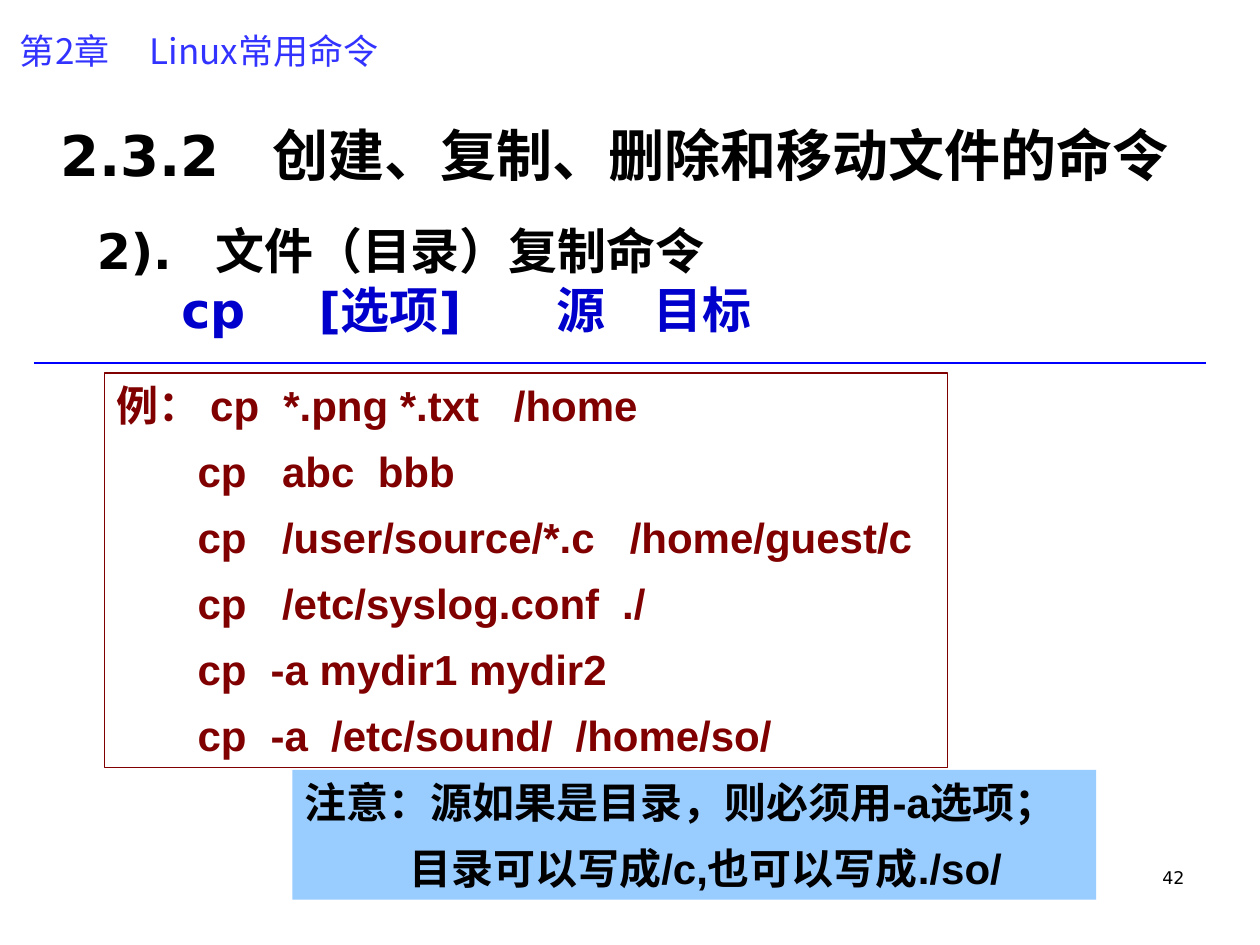
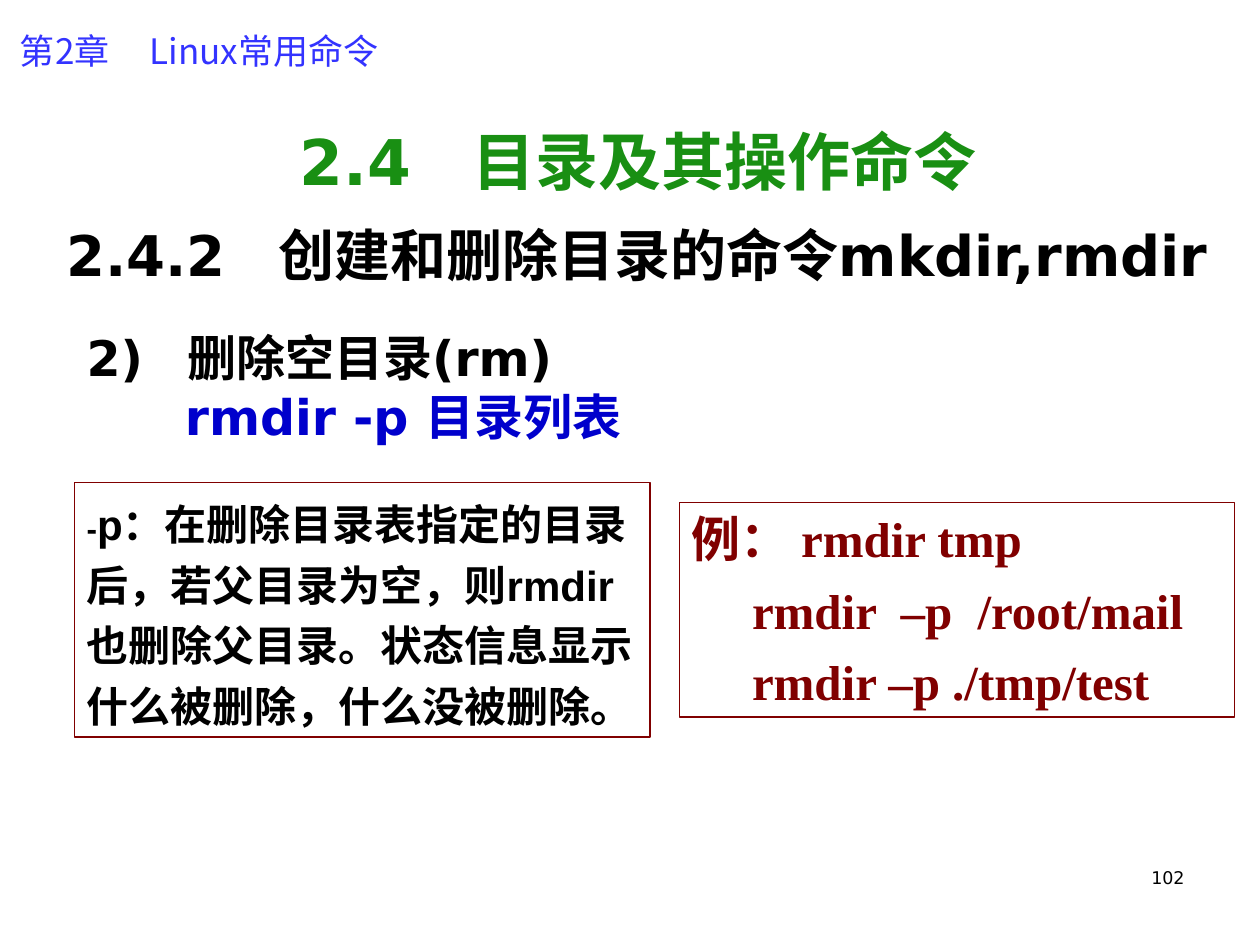
from lxml.etree import SubElement
from pptx import Presentation
from pptx.dml.color import RGBColor
from pptx.enum.shapes import MSO_CONNECTOR, MSO_SHAPE
from pptx.enum.text import MSO_ANCHOR, MSO_AUTO_SIZE, PP_ALIGN
from pptx.oxml.ns import qn
from pptx.util import Inches, Pt

BLACK = "000000"
HEADER_BLUE = "3333FF"
COMMAND_BLUE = "0000CC"
RULE_BLUE = "0000FF"
MAROON = "800000"
SECTION_GREEN = "198F13"
NOTE_BLUE = "99CCFF"

HEADING_FONT = "DejaVu Sans"
BODY_FONT = "Arial"
CHINESE_FONT = "Noto Sans CJK SC"
CODE_FONT = "Times New Roman"


def color(value):
    return RGBColor.from_string(value)


def write(paragraph, text, size=24, font=BODY_FONT, fill=BLACK, bold=True):
    run = paragraph.add_run()
    run.text = text
    run.font.size = Pt(size)
    run.font.name = font
    run.font.bold = bold
    run.font.color.rgb = color(fill)
    SubElement(run.font._element, qn("a:ea"), typeface=CHINESE_FONT)


def add_paragraph(frame, align=PP_ALIGN.LEFT, space_before=0, tabs=(), indent=0):
    """Return the next paragraph, using the empty first one before adding more."""
    first = frame.paragraphs[0]
    paragraph = frame.add_paragraph() if first.runs else first
    paragraph.alignment = align
    paragraph.space_before = Pt(space_before if first.runs else 0)
    properties = paragraph._p.get_or_add_pPr()
    if indent:
        properties.set("marL", str(Inches(indent)))
    if tabs:
        tab_list = SubElement(properties, qn("a:tabLst"))
        for position in tabs:
            SubElement(tab_list, qn("a:tab"), pos=str(Inches(position)), algn="l")
    return paragraph


def prepare_frame(shape, anchor=MSO_ANCHOR.TOP):
    frame = shape.text_frame
    frame.word_wrap = True
    frame.auto_size = MSO_AUTO_SIZE.NONE
    frame.vertical_anchor = anchor
    frame.margin_left = frame.margin_right = Inches(0.1)
    frame.margin_top = frame.margin_bottom = Inches(0.05)
    return frame


def add_text_box(slide, box, anchor=MSO_ANCHOR.TOP):
    return prepare_frame(slide.shapes.add_textbox(*map(Inches, box)), anchor)


def add_panel(slide, box, fill=None, line=None):
    panel = slide.shapes.add_shape(MSO_SHAPE.RECTANGLE, *map(Inches, box))
    panel.shadow.inherit = False
    if fill:
        panel.fill.solid()
        panel.fill.fore_color.rgb = color(fill)
    else:
        panel.fill.background()
    if line:
        panel.line.color.rgb = color(line)
        panel.line.width = Pt(0.75)
    else:
        panel.line.fill.background()
    return prepare_frame(panel)


def add_title(slide, text, box, tab, **text_format):
    """Title whose words start at the tab stop after the section number."""
    title = slide.shapes.title
    title.left, title.top, title.width, title.height = map(Inches, box)
    frame = prepare_frame(title, MSO_ANCHOR.BOTTOM)
    write(add_paragraph(frame, tabs=[tab]), text, font=HEADING_FONT, **text_format)


def add_syntax(slide, box, heading, tab, command, **command_layout):
    """Numbered heading with the command's syntax in blue under it."""
    frame = add_text_box(slide, box)
    write(add_paragraph(frame, tabs=[tab]), heading, size=28, font=HEADING_FONT)
    write(add_paragraph(frame, **command_layout), command, size=28,
          font=HEADING_FONT, fill=COMMAND_BLUE)


def add_examples(slide, box, lines, space_before, size, font):
    """Framed list of commands, each line given with its tab stops."""
    frame = add_panel(slide, box, line=MAROON)
    for number, (text, tabs) in enumerate(lines):
        paragraph = add_paragraph(frame, space_before=space_before, tabs=tabs)
        if number == 0:
            write(paragraph, "例：", size=size, fill=MAROON)
        write(paragraph, "\t" + text, size=size, font=font, fill=MAROON)


def add_rule(slide, left, right, top):
    rule = slide.shapes.add_connector(
        MSO_CONNECTOR.STRAIGHT, *map(Inches, (left, top, right, top)))
    rule.line.color.rgb = color(RULE_BLUE)
    rule.line.width = Pt(0.75)
    SubElement(rule._element.spPr, qn("a:effectLst"))


def add_slide(presentation, number):
    slide = presentation.slides.add_slide(presentation.slide_layouts[5])
    header = add_text_box(slide, (0.06, 0.28, 3.21, 0.24), MSO_ANCHOR.MIDDLE)
    write(add_paragraph(header, tabs=[1.03]), "第2章\tLinux常用命令", size=20,
          font=CHINESE_FONT, fill=HEADER_BLUE, bold=False)
    footer = add_text_box(slide, (7.17, 6.83, 2.33, 0.5))
    write(add_paragraph(footer, PP_ALIGN.RIGHT), number, size=10,
          font=HEADING_FONT, bold=False)
    return slide


def build_copy_slide(presentation):
    slide = add_slide(presentation, "42")
    add_title(slide, "2.3.2\t创建、复制、删除和移动文件的命令",
              (0.38, 0.76, 9.2, 0.78), 1.68, size=32)
    add_syntax(slide, (0.67, 1.7, 8.25, 1.1), "2).\t文件（目录）复制命令", 0.94,
               "\tcp\t[选项]\t源\t目标", tabs=[0.67, 1.76, 3.65, 4.42])
    add_rule(slide, 0.27, 9.57, 2.88)
    examples = [
        ("cp\t*.png *.txt\t/home", [0.74, 1.32, 3.15]),
        ("cp\tabc\tbbb", [0.64, 1.31, 2.07]),
        ("cp\t/user/source/*.c\t/home/guest/c", [0.64, 1.31, 4.07]),
        ("cp\t/etc/syslog.conf\t./", [0.64, 1.31, 4.01]),
        ("cp\t-a mydir1 mydir2", [0.64, 1.22]),
        ("cp\t-a\t/etc/sound/\t/home/so/", [0.64, 1.22, 1.7, 3.64]),
    ]
    add_examples(slide, (0.83, 2.96, 6.69, 3.13), examples, 9, 24, BODY_FONT)
    note = add_panel(slide, (2.32, 6.11, 6.38, 1.03), fill=NOTE_BLUE)
    write(add_paragraph(note), "注意：源如果是目录，则必须用-a选项；")
    write(add_paragraph(note, space_before=9, indent=0.83),
          "目录可以写成/c,也可以写成./so/")


def build_remove_slide(presentation):
    slide = add_slide(presentation, "102")
    add_title(slide, "2.4\t目录及其操作命令", (2.28, 0.76, 6, 0.86), 1.37,
              size=36, fill=SECTION_GREEN)
    subtitle = add_text_box(slide, (0.43, 1.7, 9.57, 0.64))
    write(add_paragraph(subtitle, tabs=[1.68]), "2.4.2\t创建和删除目录的命令mkdir,rmdir",
          size=32, font=HEADING_FONT)
    add_syntax(slide, (0.59, 2.55, 9, 1.2), "2)\t删除空目录(rm)", 0.8,
               "rmdir -p 目录列表", indent=0.78)
    option = add_paragraph(add_panel(slide, (0.59, 3.83, 4.57, 2.02), line=MAROON))
    option.line_spacing = 1.2
    write(option, "-", size=18)
    write(option, "p：在删除目录表指定的目录后，若父目录为空，则rmdir也删除父目录。"
                  "状态信息显示什么被删除，什么没被删除。")
    examples = [
        ("rmdir tmp", [0.87]),
        ("rmdir\t–p\t/root/mail", [0.48, 1.66, 2.27]),
        ("rmdir –p ./tmp/test", [0.48]),
    ]
    add_examples(slide, (5.39, 3.99, 4.41, 1.7), examples, 7, 28, CODE_FONT)


def main():
    presentation = Presentation()
    presentation.slide_width = Inches(10)
    presentation.slide_height = Inches(7.5)
    build_copy_slide(presentation)
    build_remove_slide(presentation)
    presentation.save("out.pptx")


if __name__ == "__main__":
    main()
